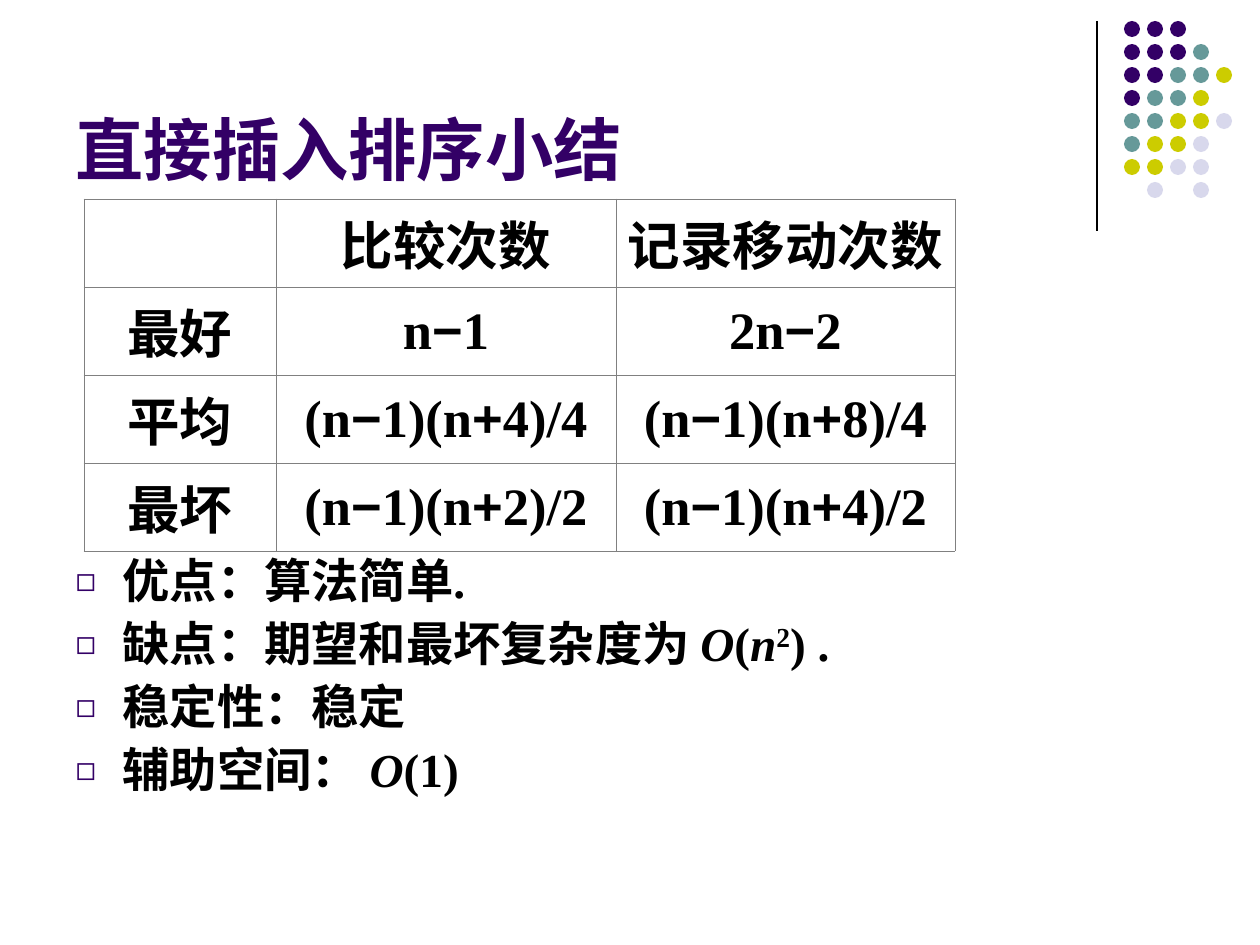
import itertools
import lxml.etree
import pptx
import pptx.util
import pptx.dml.color
import pptx.enum.shapes
import pptx.enum.text
import pptx.oxml
import pptx.oxml.ns

HEADING = "直接插入排序小结"
COSTS = [
    ["", "比较次数", "记录移动次数"],
    ["最好", "n−1", "2n−2"],
    ["平均", "(n−1)(n+4)/4", "(n−1)(n+8)/4"],
    ["最坏", "(n−1)(n+2)/2", "(n−1)(n+4)/2"],
]
ITALIC = {"italic": True}
REMARKS = [
    [("优点：算法简单.", {})],
    [("缺点：期望和最坏复杂度为 ", {}), ("O", ITALIC), ("(", {}), ("n", ITALIC),
     ("2", {"superscript": True}), (") .", {})],
    [("稳定性：稳定", {})],
    [("辅助空间： ", {}), ("O", ITALIC), ("(1)", {})],
]
DOTS = ["PPP", "PPPT", "PPTTY", "PTTY", "TTYYL", "TYYL", "YYLL", " L L"]
DOT_COLOURS = {"P": "330066", "T": "669999", "Y": "CCCC00", "L": "D8D8EC"}
PURPLE, BLACK, GREY = "330066", "000000", "808080"
SERIF, SANS = "Times New Roman", "Arial"

COLUMN_WIDTHS = [192, 340, 339]
ROW_HEIGHT = 82
DOT_LEFT, DOT_TOP, DOT_PITCH, DOT_SIZE = 1124, 21, 23, 16
SCALE = 914400 / 126


def px(length):
    return pptx.util.Emu(round(length * SCALE))


def colour(code):
    return pptx.dml.color.RGBColor.from_string(code)


def assign(target, values):
    for name, value in values.items():
        setattr(target, name, value)


def place(holder, left, top, width, height):
    assign(holder, {"left": px(left), "top": px(top), "width": px(width), "height": px(height)})


def add_run(paragraph, text, size, face, ink, superscript=False, italic=False):
    run = paragraph.add_run()
    run.text = text
    assign(run.font, {"size": pptx.util.Pt(size), "name": face, "bold": True, "italic": italic})
    run.font.color.rgb = colour(ink)
    if superscript:
        run.font._element.set("baseline", "30000")


def add_bullet(paragraph):
    properties = paragraph._p.get_or_add_pPr()
    assign_indent = {"marL": px(47), "indent": -px(47)}
    for name, value in assign_indent.items():
        properties.set(name, str(value))
    space = pptx.oxml.ns.nsdecls("a")
    for markup in (
        f'<a:buClr {space}><a:srgbClr val="{PURPLE}"/></a:buClr>',
        f'<a:buSzPct {space} val="70000"/>',
        f'<a:buFont {space} typeface="{SANS}"/>',
        f'<a:buChar {space} char="◻"/>',
    ):
        properties.append(pptx.oxml.parse_xml(markup))


def add_borders(cell):
    properties = cell._tc.get_or_add_tcPr()
    for side in "LRTB":
        properties.append(pptx.oxml.parse_xml(
            f'<a:ln{side} {pptx.oxml.ns.nsdecls("a")} w="5715"><a:solidFill>'
            f'<a:srgbClr val="{GREY}"/></a:solidFill></a:ln{side}>'))


def add_dots(slide):
    ellipse = pptx.enum.shapes.MSO_SHAPE.OVAL
    for row, marks in enumerate(DOTS):
        for column, mark in enumerate(marks):
            if mark == " ":
                continue
            dot = slide.shapes.add_shape(
                ellipse, px(DOT_LEFT + column * DOT_PITCH), px(DOT_TOP + row * DOT_PITCH),
                px(DOT_SIZE), px(DOT_SIZE))
            dot.shadow.inherit = False
            dot.fill.solid()
            dot.fill.fore_color.rgb = colour(DOT_COLOURS[mark])
            dot.line.fill.background()


def add_divider(slide):
    divider = slide.shapes.add_connector(
        pptx.enum.shapes.MSO_CONNECTOR.STRAIGHT, px(1097), px(21), px(1097), px(231))
    divider.line.width = pptx.util.Pt(0.75)
    divider.line.color.rgb = colour(BLACK)
    lxml.etree.SubElement(divider._element.spPr, pptx.oxml.ns.qn("a:effectLst"))


def fill_heading(heading):
    place(heading, 63, 16, 1040, 179)
    assign(heading.text_frame, {
        "vertical_anchor": pptx.enum.text.MSO_ANCHOR.BOTTOM,
        "auto_size": pptx.enum.text.MSO_AUTO_SIZE.NONE, "word_wrap": True})
    paragraph = heading.text_frame.paragraphs[0]
    paragraph.alignment = pptx.enum.text.PP_ALIGN.LEFT
    add_run(paragraph, HEADING, 39, SANS, PURPLE)


def fill_remarks(remarks):
    place(remarks, 63, 237, 1134, 607)
    frame = remarks.text_frame
    assign(frame, {"margin_top": px(321), "word_wrap": True,
                   "auto_size": pptx.enum.text.MSO_AUTO_SIZE.NONE})
    for index, parts in enumerate(REMARKS):
        paragraph = frame.add_paragraph() if index else frame.paragraphs[0]
        assign(paragraph, {"line_spacing": 0.9,
                           "space_before": pptx.util.Pt(6.8 if index else 0)})
        add_bullet(paragraph)
        for text, formats in parts:
            add_run(paragraph, text, 27, SERIF, BLACK, **formats)


def add_costs(slide):
    costs = slide.shapes.add_table(
        len(COSTS), len(COLUMN_WIDTHS), px(84), px(199),
        px(sum(COLUMN_WIDTHS)), px(ROW_HEIGHT * len(COSTS))).table
    assign(costs, {"first_row": False, "horz_banding": False})
    for column, width in zip(costs.columns, COLUMN_WIDTHS):
        column.width = px(width)
    for row, texts in zip(costs.rows, COSTS):
        row.height = px(ROW_HEIGHT)
        for cell, text in zip(row.cells, texts):
            add_borders(cell)
            cell.fill.background()
            assign(cell, {"vertical_anchor": pptx.enum.text.MSO_ANCHOR.MIDDLE,
                          "margin_left": px(10), "margin_right": px(10),
                          "margin_top": px(6), "margin_bottom": px(6)})
            paragraph = cell.text_frame.paragraphs[0]
            paragraph.alignment = pptx.enum.text.PP_ALIGN.CENTER
            for is_sign, letters in itertools.groupby(text, lambda letter: letter in "−+"):
                add_run(paragraph, "".join(letters), 30, SANS if is_sign else SERIF, BLACK)


def main():
    deck = pptx.Presentation()
    assign(deck, {"slide_width": px(1260), "slide_height": px(945)})
    slide = deck.slides.add_slide(deck.slide_layouts[1])
    add_divider(slide)
    add_dots(slide)
    fill_heading(slide.shapes.title)
    fill_remarks(slide.placeholders[1])
    add_costs(slide)
    deck.save("out.pptx")


if __name__ == "__main__":
    main()
